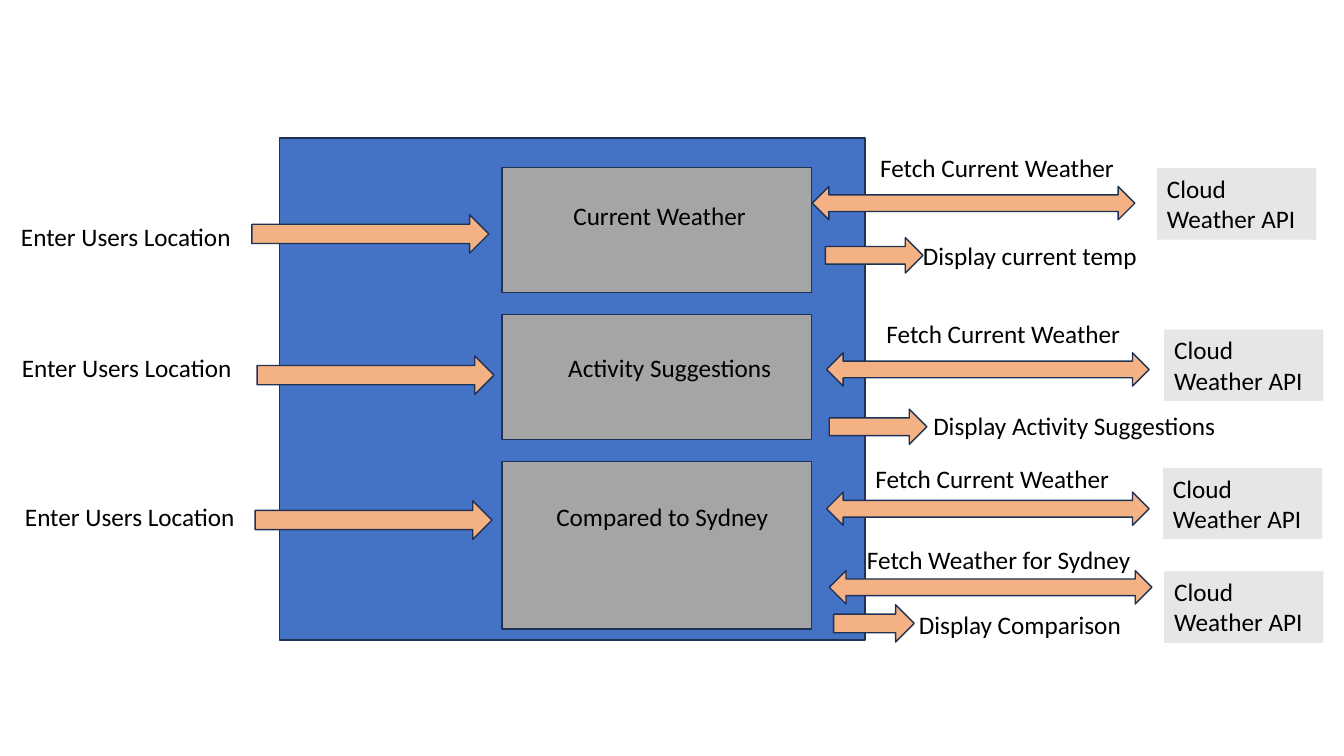
from pptx import Presentation
from pptx.dml.color import RGBColor
from pptx.enum.shapes import MSO_SHAPE
from pptx.enum.text import MSO_ANCHOR, PP_ALIGN
from pptx.util import Cm, Pt

RECTANGLE = MSO_SHAPE.RECTANGLE
RIGHT_ARROW = MSO_SHAPE.RIGHT_ARROW
DOUBLE_ARROW = MSO_SHAPE.LEFT_RIGHT_ARROW
LEFT = PP_ALIGN.LEFT
TOP = MSO_ANCHOR.TOP
BLUE = RGBColor(0x44, 0x72, 0xC4)
NAVY = RGBColor(0x1E, 0x32, 0x56)
GRAY = RGBColor(0xA5, 0xA5, 0xA5)
PALE_GRAY = RGBColor(0xE7, 0xE6, 0xE6)
ORANGE = RGBColor(0xF4, 0xB1, 0x83)
BLACK = RGBColor(0, 0, 0)

deck = Presentation()
deck.slide_width = Cm(33.87)
deck.slide_height = Cm(19.05)
page = deck.slides.add_slide(deck.slide_layouts[6])


def add_block(kind, left, top, width, height, fill, line=NAVY):
    block = page.shapes.add_shape(kind, Cm(left), Cm(top), Cm(width), Cm(height))
    block.shadow.inherit = False
    block.fill.solid()
    block.fill.fore_color.rgb = fill
    if line is None:
        block.line.fill.background()
    else:
        block.line.color.rgb = line
        block.line.width = Pt(1)
    return block


def write(text, left=0, top=0, width=6.5, box=None, size=18, color=BLACK, font="Calibri"):
    if box is None:
        box = page.shapes.add_textbox(Cm(left), Cm(top), Cm(width), Cm(1.03))
    frame = box.text_frame
    frame.word_wrap = True
    frame.vertical_anchor = TOP
    para = frame.paragraphs[0]
    para.alignment = LEFT
    span = para.add_run()
    span.text = text
    span.font.name = font
    span.font.size = Pt(size)
    span.font.color.rgb = color


add_block(RECTANGLE, 7.04, 3.48, 14.76, 12.65, BLUE)

modules = [
    ("Current Weather", 4.22, 3.15, 14.2, 4.93),
    ("Activity Suggestions", 7.92, 3.15, 14.07, 8.76),
    ("Compared to Sydney", 11.63, 4.22, 13.77, 12.5),
]
for name, top, height, text_left, text_top in modules:
    add_block(RECTANGLE, 12.65, top, 7.8, height, GRAY)
    write(name, text_left, text_top)

inputs = [(6.35, 5.41, 0.28, 5.46), (6.48, 8.97, 0.3, 8.76), (6.43, 12.62, 0.38, 12.5)]
for left, top, text_left, text_top in inputs:
    add_block(RIGHT_ARROW, left, top, 5.97, 0.97, ORANGE)
    write("Enter Users Location", text_left, text_top)

fetches = [
    ("Fetch Current Weather", 20.47, 4.7, 21.93, 3.71, 29.16, 4.24),
    ("Fetch Current Weather", 20.83, 8.89, 22.09, 7.9, 29.34, 8.31),
    ("Fetch Current Weather", 20.83, 12.4, 21.81, 11.56, 29.31, 11.79),
    ("Fetch Weather for Sydney", 20.9, 14.38, 21.6, 13.59, 29.34, 14.4),
]
for label, left, top, text_left, text_top, service_left, service_top in fetches:
    add_block(DOUBLE_ARROW, left, top, 8.13, 0.84, ORANGE)
    write(label, text_left, text_top, width=7.6)
    service = add_block(RECTANGLE, service_left, service_top, 4.01, 1.8, PALE_GRAY, line=None)
    write("Cloud Weather API", box=service)

outputs = [
    ("Display current temp", 20.8, 5.99, 2.46, 0.89, 23.01, 5.94),
    ("Display Activity Suggestions", 20.9, 10.31, 2.46, 0.89, 23.27, 10.21),
    ("Display Comparison", 21.01, 15.24, 2.03, 0.94, 22.91, 15.24),
]
for label, left, top, width, height, text_left, text_top in outputs:
    add_block(RIGHT_ARROW, left, top, width, height, ORANGE)
    write(label, text_left, text_top, width=8.5)

deck.save("out.pptx")
